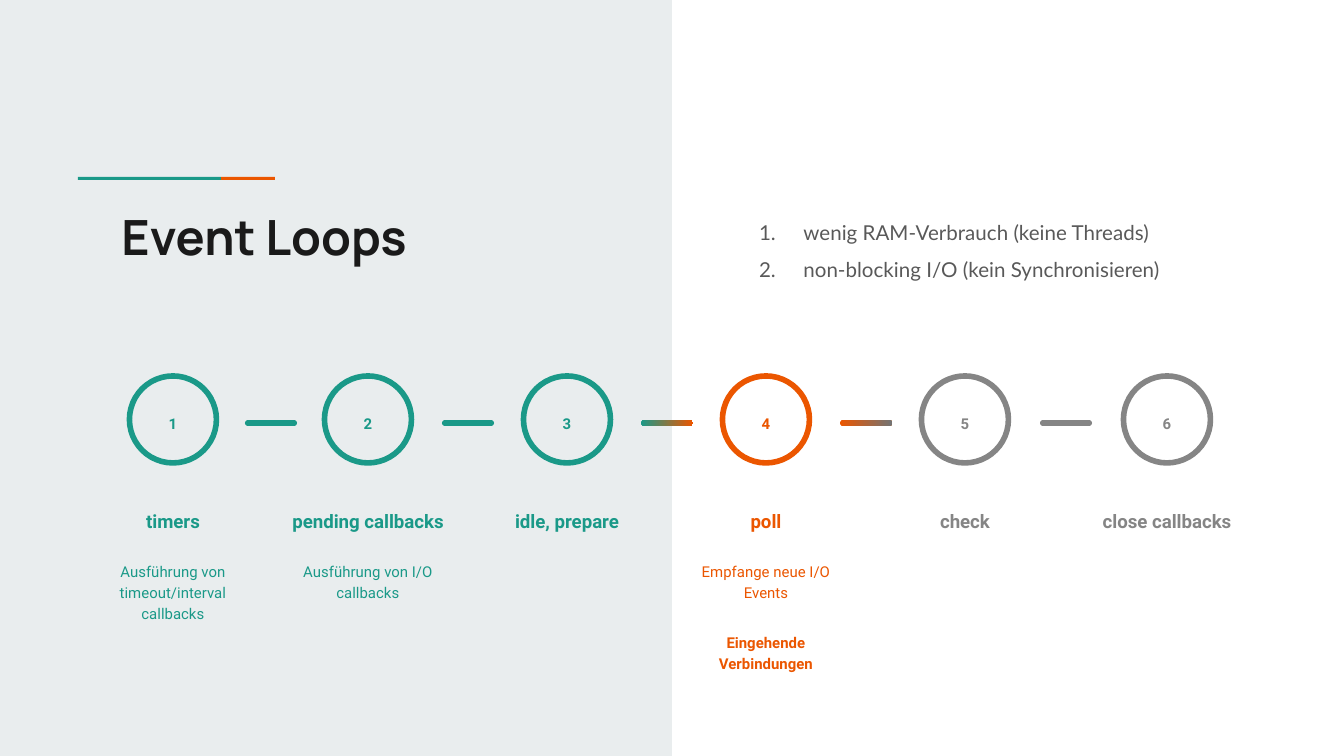
from dataclasses import dataclass

from lxml import etree
from pptx import Presentation
from pptx import util as u
from pptx.dml.color import RGBColor
from pptx.enum import shapes, text
from pptx.oxml import ns

SCALE = 914400 / 134.4  # EMU per px
KIND = shapes.MSO_SHAPE
TOP, BASE = text.MSO_ANCHOR.TOP, text.MSO_ANCHOR.BOTTOM
LEFT, MID = text.PP_ALIGN.LEFT, text.PP_ALIGN.CENTER


@dataclass(frozen=True)
class Theme:
    pale: str = "E9EDEE"
    teal: str = "1A9988"
    warm: str = "EB5600"
    gray: str = "858585"
    dusk: str = "737373"
    ink: str = "1A1A1A"
    body: str = "595959"
    head: int = 26
    list: int = 11
    label: int = 10
    note: int = 8
    ring: int = 3


def px(*vals):
    return [u.Emu(round(v * SCALE)) for v in vals]


def put(obj, vals):
    for key, val in vals.items():
        setattr(obj, key, val)


class Board:
    def __init__(self, slide, theme):
        self.slide, self.theme = slide, theme

    def shape(self, kind, box, fill=None, line=None):
        item = self.slide.shapes.add_shape(kind, *px(*box))
        item.shadow.inherit = False
        if fill is None:
            item.fill.background()
        elif isinstance(fill, tuple):
            item.fill.gradient()
            item.fill.gradient_angle = 0
            for stop, tint in zip(item.fill.gradient_stops, fill):
                stop.color.rgb = RGBColor.from_string(tint)
        else:
            item.fill.solid()
            item.fill.fore_color.rgb = RGBColor.from_string(fill)
        if line:
            item.line.color.rgb = RGBColor.from_string(line)
            item.line.width = u.Pt(self.theme.ring)
        else:
            item.line.fill.background()
        return item

    def bar(self, box, fill):
        self.shape(KIND.ROUNDED_RECTANGLE, box, fill).adjustments[0] = 0.5

    def set_text(self, frame, rows, font, anchor=TOP, **para):
        """Fill a frame; each row is its text and its own paragraph and font values."""
        pad = u.Inches(0.1)
        put(frame, dict(word_wrap=True, auto_size=text.MSO_AUTO_SIZE.NONE,
                        vertical_anchor=anchor, margin_left=pad, margin_right=pad,
                        margin_top=pad, margin_bottom=pad))
        name, size, tint, bold = font
        for i, (words, own, look) in enumerate(rows):
            par = frame.add_paragraph() if i else frame.paragraphs[0]
            put(par, para | own)
            run = par.add_run()
            run.text = words
            put(run.font, dict(name=name, size=u.Pt(size), bold=bold) | look)
            run.font.color.rgb = RGBColor.from_string(tint)

    def title(self, box, words):
        item = self.slide.shapes.title
        put(item, dict(zip(("left", "top", "width", "height"), px(*box))))
        self.set_text(item.text_frame, [(words, {}, {})],
                      ("Manrope", self.theme.head, self.theme.ink, True), alignment=LEFT)

    def text(self, box, rows, font, **form):
        frame = self.slide.shapes.add_textbox(*px(*box)).text_frame
        self.set_text(frame, rows, font, **form)
        return frame

    def list(self, box, lines):
        tint = self.theme.body
        frame = self.text(box, [(line, {}, {}) for line in lines],
                          ("Lato", self.theme.list, tint, False), line_spacing=1.5)
        for par in frame.paragraphs:
            props = par._p.get_or_add_pPr()
            props.set("marL", str(u.Inches(0.5)))
            props.set("indent", str(u.Inches(-0.33)))
            mark = etree.SubElement(props, ns.qn("a:buClr"))
            etree.SubElement(mark, ns.qn("a:srgbClr"), val=tint)
            etree.SubElement(props, ns.qn("a:buAutoNum"), type="arabicPeriod")

    def step(self, num, mid, tint, name, notes):
        look = self.theme
        form = dict(alignment=MID, line_spacing=1.15)
        self.shape(KIND.OVAL, (mid - 43.5, 376, 87, 87), line=tint)
        self.text((mid - 32, 399, 64, 47), [(str(num), {}, {})],
                  ("Roboto", look.note, tint, True), **form)
        self.text((mid - 100, 480, 200, 66), [(name, {}, {})],
                  ("Roboto", look.label, tint, True), anchor=BASE, **form)
        if notes:
            gap = dict(space_before=u.Pt(16))
            rows = [(note, gap if i else {}, dict(bold=i > 0))
                    for i, note in enumerate(notes)]
            self.text((mid - 96, 547, 192, 109), rows,
                      ("Roboto", look.note, tint, False), **form)


def main():
    deck = Presentation()
    deck.slide_width, deck.slide_height = px(1344, 756)
    look = Theme()
    board = Board(deck.slides.add_slide(deck.slide_layouts[5]), look)

    # Left panel, behind the title, and accent rule
    panel = board.shape(KIND.RECTANGLE, (0, 0, 672, 756), look.pale)
    board.slide.shapes.title._element.addprevious(panel._element)
    board.shape(KIND.RECTANGLE, (78, 177, 143, 3), look.teal)
    board.shape(KIND.RECTANGLE, (221, 177, 54, 3), look.warm)

    # Title and benefits
    board.title((108, 194, 485, 249), "Event Loops")
    board.list((723, 194, 485, 112), ["wenig RAM-Verbrauch (keine Threads)",
                                      "non-blocking I/O (kein Synchronisieren)"])

    # Phases of the loop
    steps = [
        (173, look.teal, "timers", ["Ausführung von timeout/interval callbacks"]),
        (368, look.teal, "pending callbacks", ["Ausführung von I/O callbacks"]),
        (567, look.teal, "idle, prepare", []),
        (766, look.warm, "poll", ["Empfange neue I/O Events", "Eingehende Verbindungen"]),
        (965, look.gray, "check", []),
        (1167, look.gray, "close callbacks", []),
    ]
    for num, step in enumerate(steps, 1):
        board.step(num, *step)

    # Links between phases
    links = [(245, look.teal), (442, look.teal), (641, (look.teal, look.warm)),
             (840, (look.warm, look.dusk)), (1040, look.gray)]
    for left, fill in links:
        board.bar((left, 420, 52, 6), fill)

    deck.save("out.pptx")


if __name__ == "__main__":
    main()
